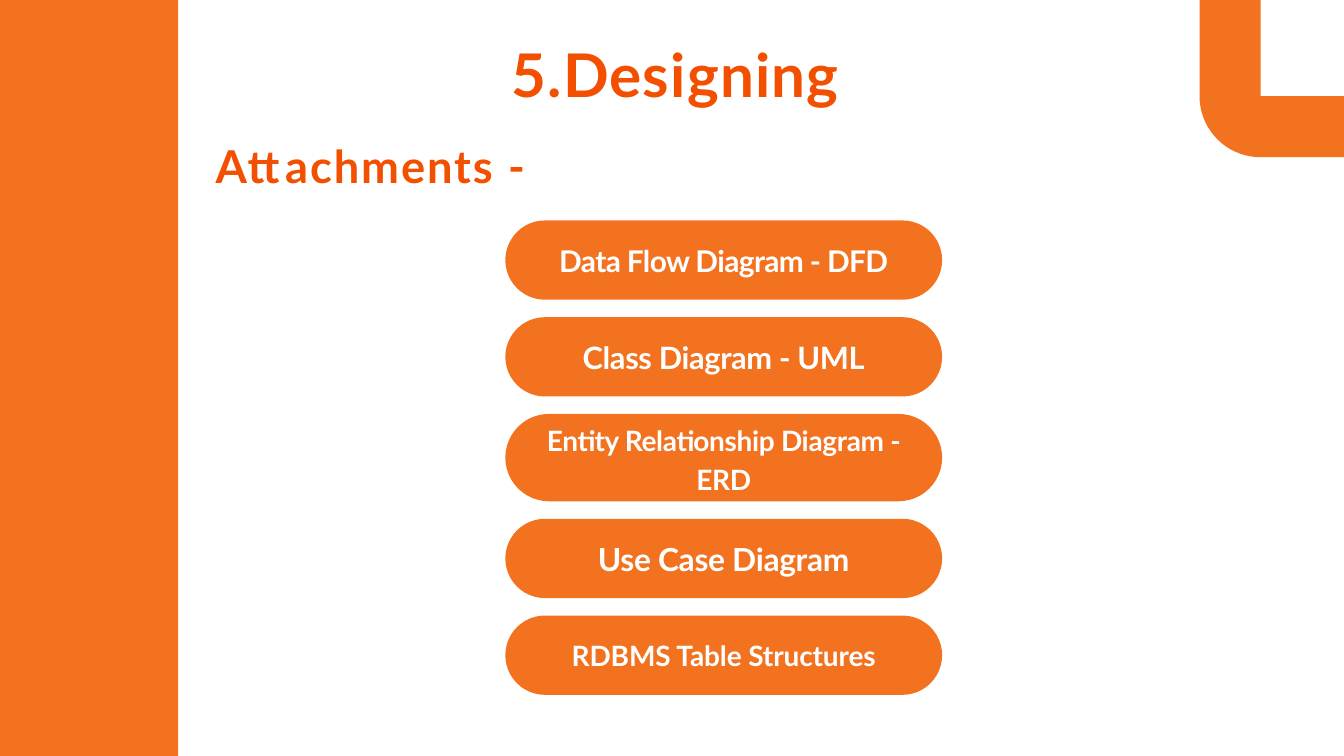
import math
from typing import NamedTuple

from pptx import Presentation
from pptx import util as u
from pptx.dml.color import RGBColor
from pptx.enum import shapes, text

HUES = {"main": "F27220", "head": "F24F00", "pale": "FFFFFF"}
FONT = "Lato"


class Piece(NamedTuple):
    words: str
    track: float


class Label(NamedTuple):
    pieces: list[Piece]
    left: float
    top: float
    width: float
    height: float
    size: float
    before: float


class Pill(NamedTuple):
    words: str
    size: float
    track: float
    height: float = 1.18
    lead: float = 1.0


LABELS = [
    Label([Piece("5.Designing", 1.4)], 7.61, 0.54, 5.59, 1.11, 64.5, 1.2),
    Label([Piece("Attachments ", 2.1), Piece("-", -2.1)], 3.21, 2.03, 6, 0.85, 48.5, 1.3),
]
PILLS = [
    Pill("Data Flow Diagram - DFD", 32, -0.67),
    Pill("Class Diagram - UML", 33, -0.36),
    Pill("Entity Relationship Diagram - ERD", 30, -0.35, 1.3, 1.15),
    Pill("Use Case Diagram", 34, -0.3),
    Pill("RDBMS Table Structures", 30, -0.1),
]


def paint(shape, hue: str) -> None:
    shape.shadow.inherit = False
    shape.fill.solid()
    shape.fill.fore_color.rgb = RGBColor.from_string(HUES[hue])
    shape.line.fill.background()


def write(para, piece: Piece, size: float, hue: str) -> None:
    run = para.add_run()
    run.text = piece.words
    font = run.font
    font.name = FONT
    font.size = u.Pt(size)
    font.bold = True
    font.color.rgb = RGBColor.from_string(HUES[hue])
    run._r.get_or_add_rPr().set("spc", str(round(piece.track * 100)))


def pad(frame, side: float, top: float) -> None:
    frame.word_wrap = True
    frame.margin_left = frame.margin_right = u.Inches(side)
    frame.margin_top = u.Inches(top)
    frame.margin_bottom = 0


def draw_label(slide, label: Label) -> None:
    box = slide.shapes.add_textbox(
        u.Inches(label.left), u.Inches(label.top),
        u.Inches(label.width), u.Inches(label.height),
    )
    pad(box.text_frame, 0, 0.02)
    para = box.text_frame.paragraphs[0]
    para.space_before = u.Pt(label.before)
    for piece in label.pieces:
        write(para, piece, label.size, "head")


def draw_pill(slide, pill: Pill, top: float) -> None:
    shape = slide.shapes.add_shape(
        shapes.MSO_SHAPE.ROUNDED_RECTANGLE,
        u.Inches(7.52), u.Inches(top), u.Inches(6.5), u.Inches(pill.height),
    )
    shape.adjustments[0] = 0.5
    paint(shape, "main")
    frame = shape.text_frame
    pad(frame, 0.4, 0)
    frame.vertical_anchor = text.MSO_ANCHOR.MIDDLE
    para = frame.paragraphs[0]
    para.alignment = text.PP_ALIGN.CENTER
    para.line_spacing = pill.lead
    write(para, Piece(pill.words, pill.track), pill.size, "pale")


def draw_band(slide) -> None:
    band = slide.shapes.add_shape(
        shapes.MSO_SHAPE.RECTANGLE, 0, 0, u.Inches(2.65), u.Inches(11.25)
    )
    paint(band, "main")


def draw_hook(slide) -> None:
    x, y, reach, edge = 18.76, 1.43, 0.91, 20
    turns = [math.radians(90 + 5 * step) for step in range(19)]
    arc = [(x + reach * math.cos(t), y + reach * math.sin(t)) for t in turns]
    points = [(edge, y), (edge, y + reach), *arc, (x - reach, 0), (x, 0), (x, y)]
    dots = [(u.Inches(a), u.Inches(b)) for a, b in points]
    pen = slide.shapes.build_freeform(*dots[0])
    pen.add_line_segments(dots[1:], close=True)
    paint(pen.convert_to_shape(), "main")


def main() -> None:
    deck = Presentation()
    deck.slide_width = u.Inches(20)
    deck.slide_height = u.Inches(11.25)
    slide = deck.slides.add_slide(deck.slide_layouts[6])
    draw_band(slide)
    for label in LABELS:
        draw_label(slide, label)
    top, gap = 3.28, 0.26
    for pill in PILLS:
        draw_pill(slide, pill, top)
        top += pill.height + gap
    draw_hook(slide)
    deck.save("out.pptx")


if __name__ == "__main__":
    main()
